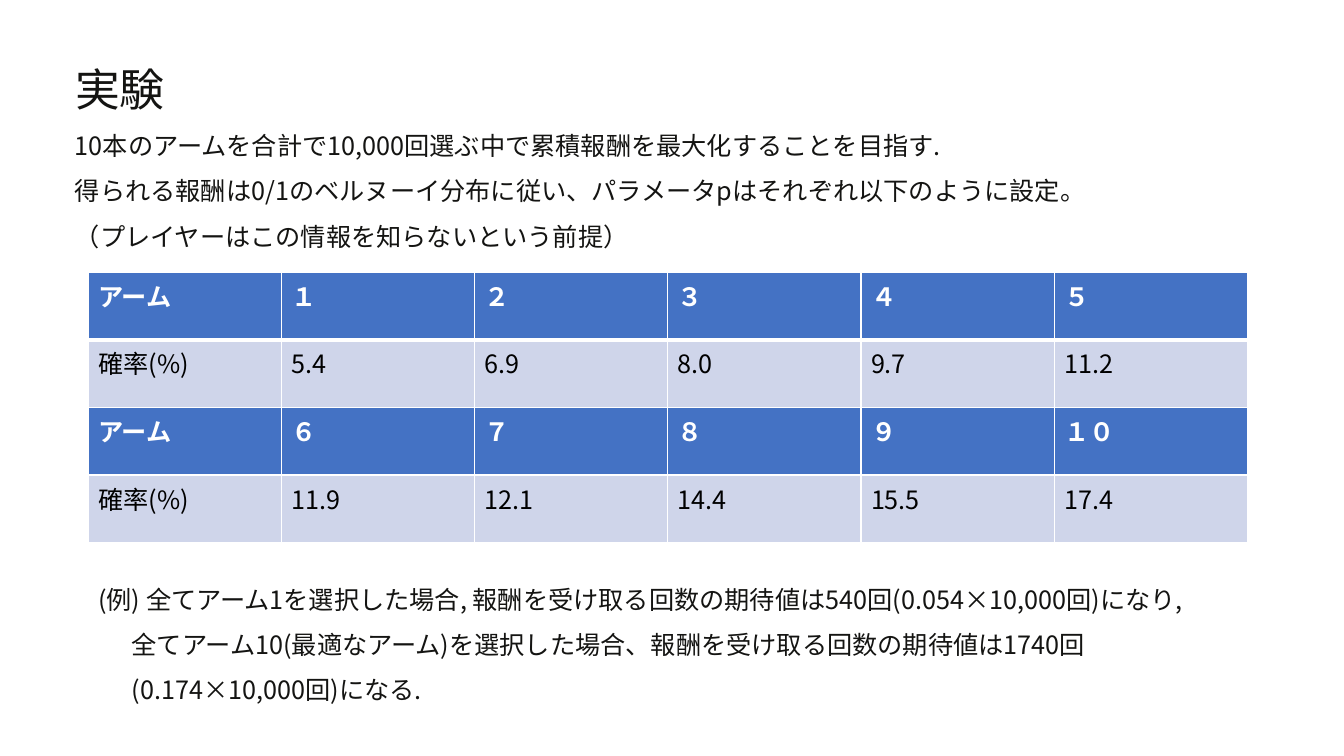
"""Builds the bandit experiment slide with its table of arm probabilities."""
import pptx
import pptx.dml.color
import pptx.enum.text
import pptx.oxml.ns
import pptx.util
from lxml import etree

EMU_PER_PX = 9525
FONT = "Noto Sans CJK JP"
COLORS = {
    "ink": "141412",
    "header": "4472C4",
    "value": "CFD5EA",
    "white": "FFFFFF",
    "black": "000000",
}
TITLE = "実験"
SETUP = [
    "10本のアームを合計で10,000回選ぶ中で累積報酬を最大化することを目指す.",
    "得られる報酬は0/1のベルヌーイ分布に従い、パラメータpはそれぞれ以下のように設定。",
    "（プレイヤーはこの情報を知らないという前提）",
]
ARM_ROWS = [
    ["アーム", "１", "２", "３", "４", "５"],
    ["確率(%)", "5.4", "6.9", "8.0", "9.7", "11.2"],
    ["アーム", "６", "７", "８", "９", "１０"],
    ["確率(%)", "11.9", "12.1", "14.4", "15.5", "17.4"],
]
EXAMPLE = [
    "(例) 全てアーム1を選択した場合, 報酬を受け取る回数の期待値は540回(0.054×10,000回)になり,",
    "全てアーム10(最適なアーム)を選択した場合、報酬を受け取る回数の期待値は1740回",
    "(0.174×10,000回)になる.",
]


def px(length):
    return pptx.util.Emu(length * EMU_PER_PX)


def rgb(name):
    return pptx.dml.color.RGBColor.from_string(COLORS[name])


def add_run(paragraph, text, size, color, bold=False):
    run = paragraph.add_run()
    run.text = text
    run.font.size = pptx.util.Pt(size)
    run.font.bold = bold
    run.font.color.rgb = rgb(color)
    run.font.name = FONT
    east_asian = etree.SubElement(run.font._element, pptx.oxml.ns.qn("a:ea"))
    east_asian.set("typeface", FONT)


def fill_frame(text_frame, lines, size, indents):
    text_frame.word_wrap = True
    text_frame.auto_size = pptx.enum.text.MSO_AUTO_SIZE.NONE
    text_frame.vertical_anchor = pptx.enum.text.MSO_ANCHOR.TOP
    for index, (line, indent) in enumerate(zip(lines, indents)):
        paragraph = text_frame.add_paragraph() if index else text_frame.paragraphs[0]
        paragraph.alignment = pptx.enum.text.PP_ALIGN.LEFT
        paragraph.line_spacing = 1.5
        if indent:
            paragraph._p.get_or_add_pPr().set("marL", str(px(indent)))
        add_run(paragraph, line, size, "ink")


def set_title(slide, left, top, width, height):
    title = slide.shapes.title
    title.left, title.top = px(left), px(top)
    title.width, title.height = px(width), px(height)
    fill_frame(title.text_frame, [TITLE], 32, [0])


def add_text(slide, box, lines, indents):
    shape = slide.shapes.add_textbox(*map(px, box))
    fill_frame(shape.text_frame, lines, 18, indents)


def set_borders(cell, widths):
    properties = cell._tc.get_or_add_tcPr()
    for side, width in widths.items():
        line = etree.SubElement(properties, pptx.oxml.ns.qn(f"a:ln{side}"))
        line.set("w", str(pptx.util.Pt(width)))
        fill = etree.SubElement(line, pptx.oxml.ns.qn("a:solidFill"))
        color = etree.SubElement(fill, pptx.oxml.ns.qn("a:srgbClr"))
        color.set("val", COLORS["white"])


def add_arm_table(slide, box):
    frame = slide.shapes.add_table(len(ARM_ROWS), len(ARM_ROWS[0]), *map(px, box))
    table = frame.table
    table.horz_banding = False
    for row, texts in enumerate(ARM_ROWS):
        is_header = row % 2 == 0
        top = 3 if row == 1 else 1
        bottom = 3 if row == 0 else 1
        for column, text in enumerate(texts):
            cell = table.cell(row, column)
            set_borders(cell, {"L": 1, "R": 1, "T": top, "B": bottom})
            cell.fill.solid()
            cell.fill.fore_color.rgb = rgb("header" if is_header else "value")
            color = "white" if is_header else "black"
            add_run(cell.text_frame.paragraphs[0], text, 18, color, is_header)


def main():
    presentation = pptx.Presentation()
    presentation.slide_width, presentation.slide_height = px(1280), px(720)
    slide = presentation.slides.add_slide(presentation.slide_layouts[5])
    set_title(slide, 62, 28, 1147, 77)
    add_text(slide, (62, 105, 1147, 137), SETUP, [0, 0, 0])
    add_arm_table(slide, (84, 259, 1104, 258))
    add_text(slide, (84, 537, 1104, 180), EXAMPLE, [0, 32, 32])
    presentation.save("out.pptx")


if __name__ == "__main__":
    main()
